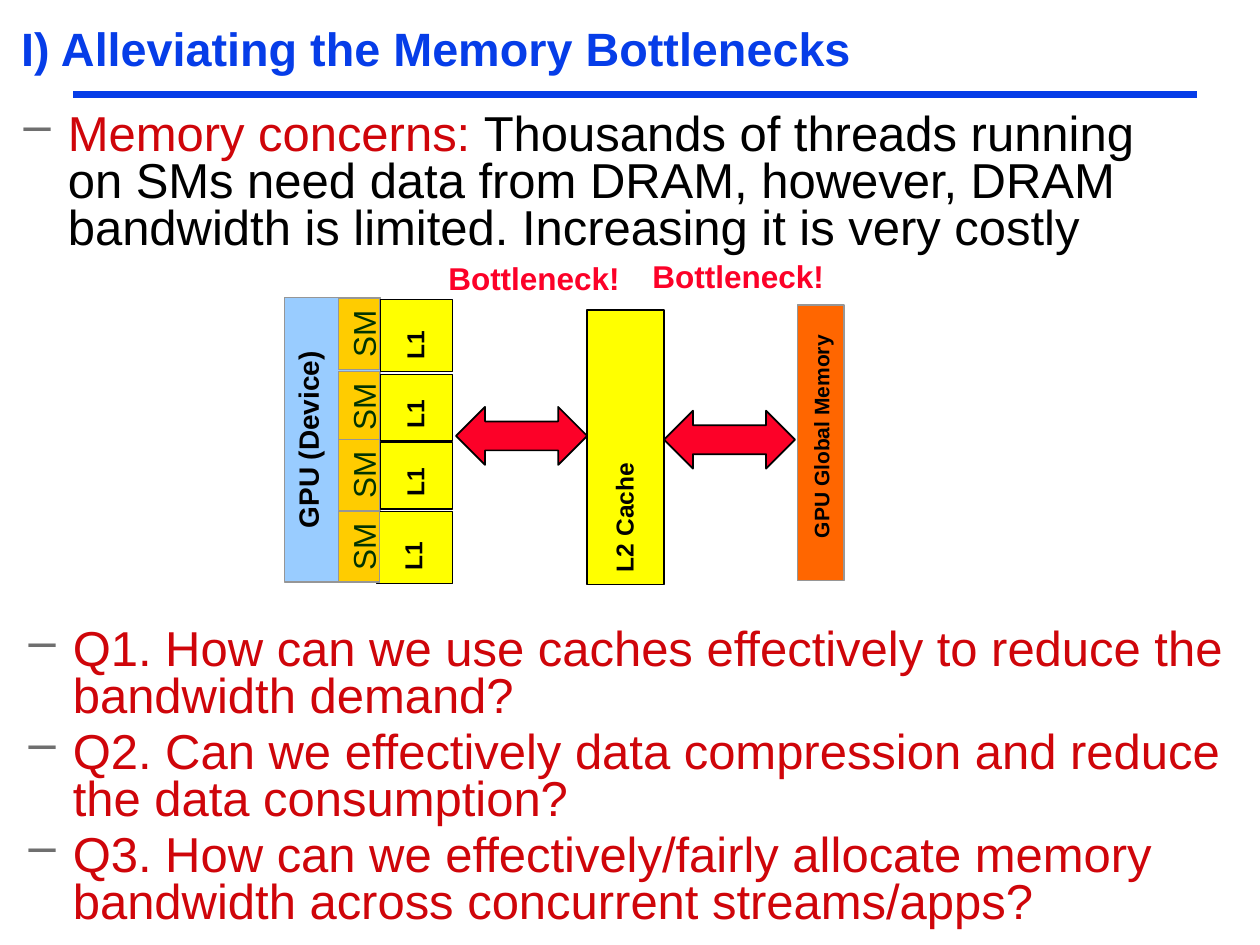
from lxml import etree
from pptx import Presentation
from pptx.dml.color import RGBColor
from pptx.enum.shapes import MSO_CONNECTOR, MSO_SHAPE
from pptx.enum.text import MSO_ANCHOR, PP_ALIGN
from pptx.oxml.ns import qn
from pptx.util import Inches, Pt

RECTANGLE = MSO_SHAPE.RECTANGLE
DOUBLE_ARROW = MSO_SHAPE.LEFT_RIGHT_ARROW
STRAIGHT = MSO_CONNECTOR.STRAIGHT
TOP, MIDDLE = MSO_ANCHOR.TOP, MSO_ANCHOR.MIDDLE
LEFT, CENTER = PP_ALIGN.LEFT, PP_ALIGN.CENTER

COLORS = {
    "blue": "063DE8", "black": "000000", "gray": "969696", "dash": "6F6F6F",
    "question": "CF050A", "red": "FC0128", "gpu": "99CCFF", "cache": "FFFF00",
    "sm": "FFCC00", "sm_text": "003300", "memory": "FF6600",
}

MEMORY_CONCERNS = [[
    ("Memory concerns: ", "question"),
    ("Thousands of threads running on SMs need data from DRAM, however, "
     "DRAM bandwidth is limited. Increasing it is very costly", "black"),
]]
QUESTIONS = [[(question, "question")] for question in (
    "Q1. How can we use caches effectively to reduce the bandwidth demand?",
    "Q2. Can we effectively data compression and reduce the data consumption?",
    "Q3. How can we effectively/fairly allocate memory bandwidth across "
    "concurrent streams/apps?",
)]
# top and height of each L1 cache, centre of the SM beside it
CORES = [(2.38, 0.57, 2.65), (2.97, 0.53, 3.23), (3.51, 0.53, 3.77), (4.06, 0.57, 4.34)]


def rgb(name):
    return RGBColor.from_string(COLORS[name])


def style_run(run, size, color, bold=False):
    run.font.name = "Arial"
    run.font.size = Pt(size)
    run.font.bold = bold
    run.font.color.rgb = rgb(color)


def add_label(slide, box, text, size, color, line_spacing=1.0, anchor=TOP):
    frame = slide.shapes.add_textbox(*map(Inches, box)).text_frame
    frame.word_wrap = True
    frame.vertical_anchor = anchor
    frame.text = text
    frame.paragraphs[0].line_spacing = line_spacing
    style_run(frame.paragraphs[0].runs[0], size, color, bold=True)


def add_dash(paragraph):
    """Give the paragraph a hanging indent and a gray dash as bullet."""
    props = paragraph._p.get_or_add_pPr()
    props.set("marL", str(Inches(0.35)))
    props.set("indent", str(Inches(-0.35)))
    bullet_color = etree.SubElement(props, qn("a:buClr"))
    etree.SubElement(bullet_color, qn("a:srgbClr"), val=COLORS["dash"])
    etree.SubElement(props, qn("a:buChar"), char="–")


def add_dash_list(slide, box, items):
    frame = slide.shapes.add_textbox(*map(Inches, box)).text_frame
    frame.word_wrap = True
    frame.margin_top = Inches(0.5)
    for index, item in enumerate(items):
        paragraph = frame.add_paragraph() if index else frame.paragraphs[0]
        paragraph.line_spacing = 0.8
        paragraph.space_before = paragraph.space_after = Pt(2.5)
        add_dash(paragraph)
        for text, color in item:
            run = paragraph.add_run()
            run.text = text
            style_run(run, 28, color)


def add_block(slide, kind, box, fill, line, line_width=0.75):
    block = slide.shapes.add_shape(kind, *map(Inches, box))
    block.shadow.inherit = False
    block.fill.solid()
    block.fill.fore_color.rgb = rgb(fill)
    block.line.color.rgb = rgb(line)
    block.line.width = Pt(line_width)
    return block


def write_in_block(block, text, size, color, bold, align, anchor):
    frame = block.text_frame
    frame.vertical_anchor = anchor
    frame.text = text
    frame.paragraphs[0].alignment = align
    style_run(frame.paragraphs[0].runs[0], size, color, bold)
    return frame


def add_turned_block(slide, box, fill, text, size, color="black", bold=True, anchor=TOP):
    """Add a rectangle that is turned to read upwards."""
    block = add_block(slide, RECTANGLE, box, fill, "gray")
    block.rotation = 270
    frame = write_in_block(block, text, size, color, bold, CENTER, anchor)
    frame.word_wrap = False
    return frame


def add_cache(slide, box, text):
    """Add an upright cache whose text runs upwards from its bottom edge."""
    block = add_block(slide, RECTANGLE, box, "cache", "black")
    frame = write_in_block(block, text, 14, "black", True, LEFT, MIDDLE)
    frame.word_wrap = True
    frame.paragraphs[0].line_spacing = 0.9
    frame._txBody.bodyPr.set("vert", "vert270")


def add_title_rule(slide):
    rule = slide.shapes.add_connector(
        STRAIGHT, Inches(0.58), Inches(0.75), Inches(9.5), Inches(0.75))
    rule.line.color.rgb = rgb("blue")
    rule.line.width = Pt(4.5)
    etree.SubElement(rule._element.spPr, qn("a:effectLst"))


def add_memory_diagram(slide):
    add_turned_block(slide, (1.51, 3.11, 2.26, 0.76), "gpu", "GPU (Device)", 16)
    for top, height, _ in CORES:
        left = 2.99 if top == CORES[-1][0] else 3.02
        add_cache(slide, (left, top, 3.59 - left, height), "L1")
    for _, _, middle in CORES:
        add_turned_block(slide, (2.57, middle - 0.165, 0.56, 0.33), "sm", "SM", 18,
                         "sm_text", bold=False)
    add_cache(slide, (4.66, 2.46, 0.61, 2.18), "L2 Cache")
    memory = add_turned_block(slide, (5.42, 3.33, 2.19, 0.37), "memory",
                              "GPU Global Memory", 12, anchor=MIDDLE)
    memory.margin_left = Inches(0.1)
    memory.margin_top = memory.margin_right = memory.margin_bottom = 0
    for arrow_left, arrow_top, label_left, label_top in (
            (3.62, 3.23, 3.46, 2.01), (5.27, 3.26, 5.08, 1.99)):
        add_block(slide, DOUBLE_ARROW, (arrow_left, arrow_top, 1.04, 0.46), "red", "black", 1)
        add_label(slide, (label_left, label_top, 1.75, 0.4), "Bottleneck!", 18, "red")


def main():
    deck = Presentation()
    deck.slide_width, deck.slide_height = Inches(10), Inches(7.5)
    slide = deck.slides.add_slide(deck.slide_layouts[6])
    add_title_rule(slide)
    add_label(slide, (0.07, 0.16, 9.75, 0.51), "I) Alleviating the Memory Bottlenecks",
              26.7, "blue", 0.87, MIDDLE)
    add_memory_diagram(slide)
    add_dash_list(slide, (0.09, 0.4, 9.07, 1.04), MEMORY_CONCERNS)
    add_dash_list(slide, (0.13, 4.49, 9.87, 1.05), QUESTIONS)
    deck.save("out.pptx")


if __name__ == "__main__":
    main()
